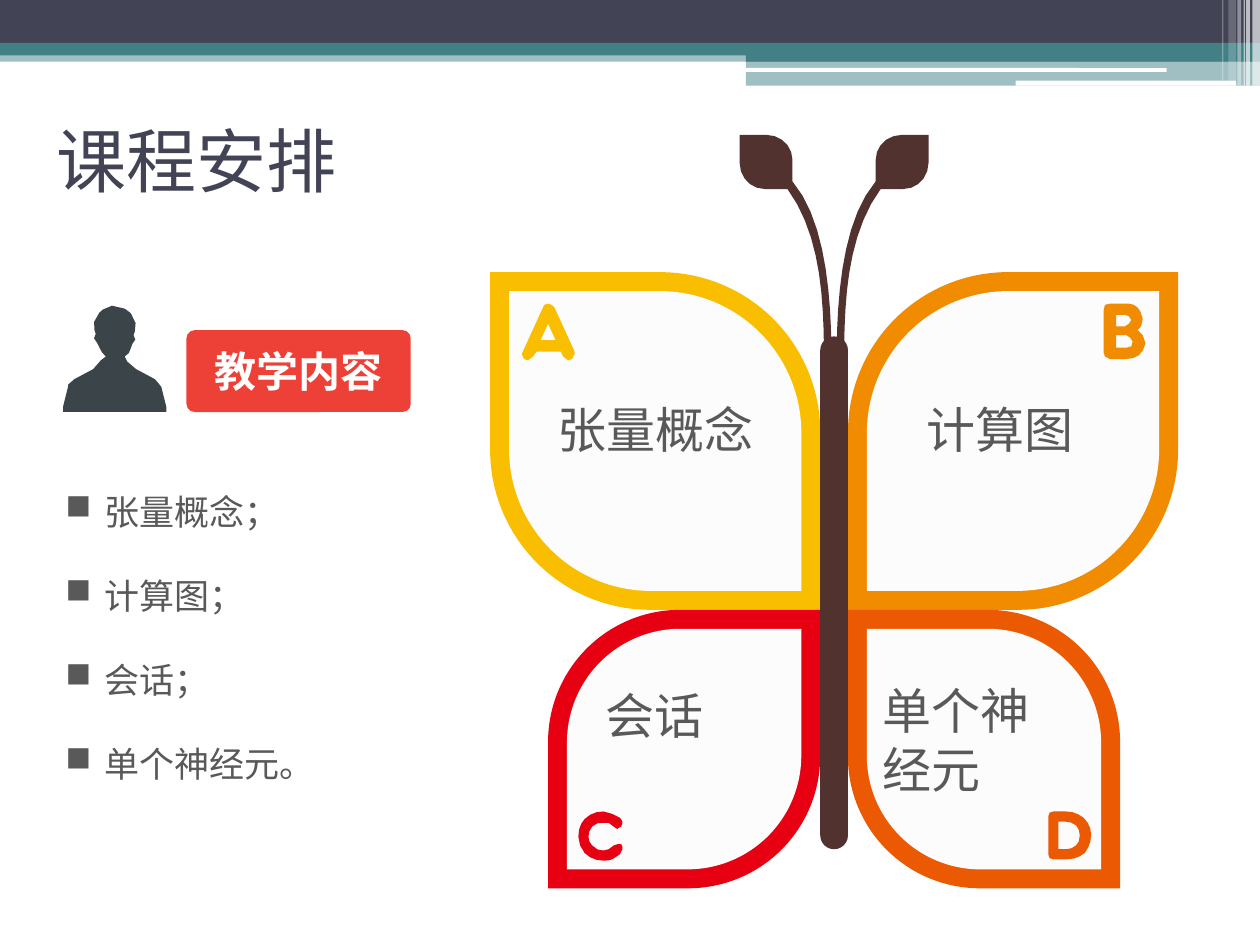
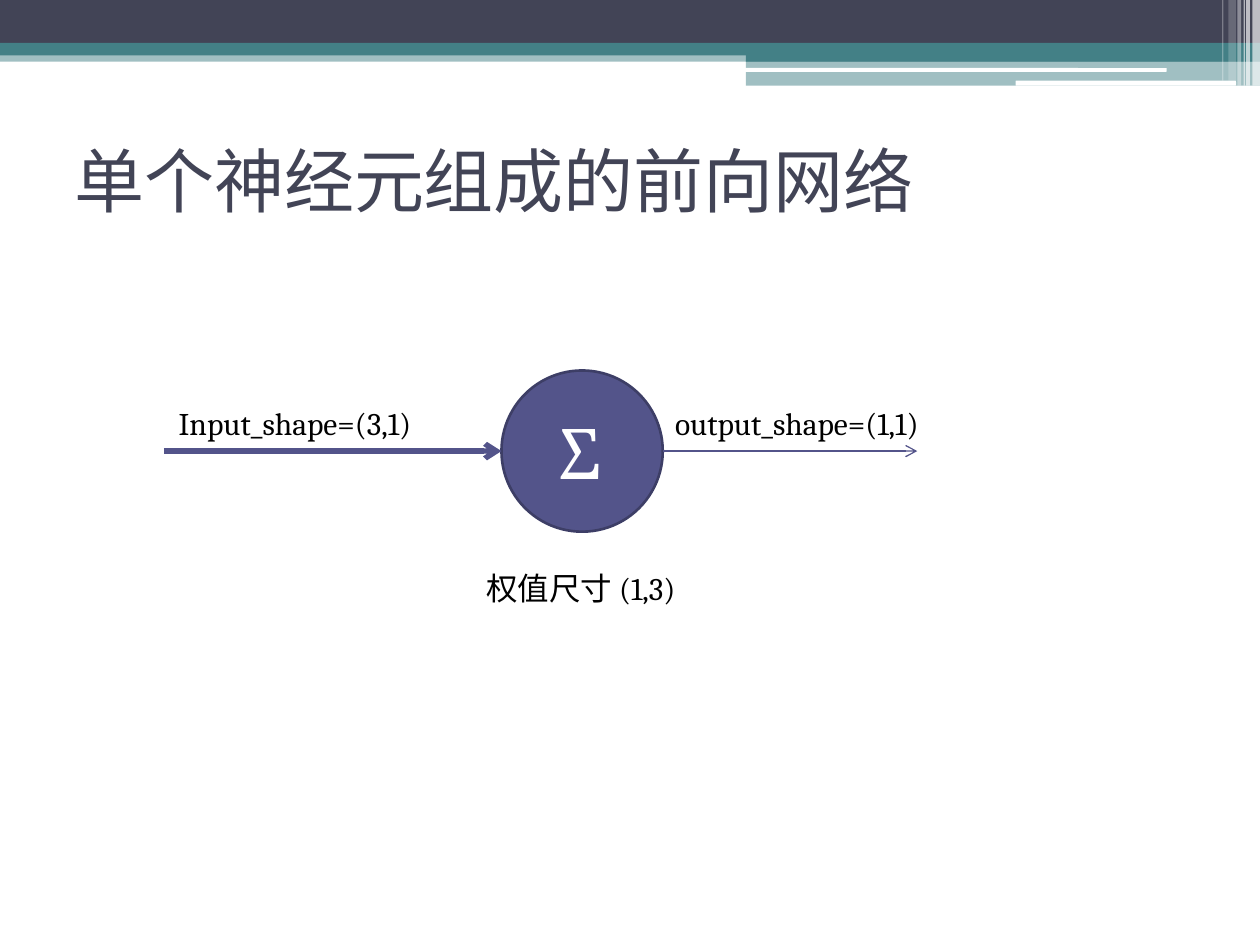
import math
from dataclasses import dataclass

from pptx import Presentation
from pptx.dml.color import RGBColor
from pptx.enum import shapes, text
from pptx.oxml.xmlchemy import OxmlElement
from pptx.util import Pt

SCALE = 9144  # EMU per px, 100 px to the inch
MIRROR = 1324  # twice the x of the butterfly's axis
WING_ROUNDING = 0.485
WING_RIM = 15
CHORD = 7  # px of curve drawn by one straight piece
MAX_PIECES = 10
CJK_FONT = "Noto Sans CJK SC"
COLORS = {
    "navy": "424456", "teal": "438086", "white": "FFFFFF", "black": "000000",
    "slate": "3B4449", "grey": "595959", "badge": "ED4137", "paper": "FCFCFD",
    "brown": "51322F", "yellow": "FABE00", "orange": "F18B00",
    "rust": "EB5902", "red": "E60012", "violet": "53548A", "rim": "3D3E66",
}
RECT = shapes.MSO_SHAPE.RECTANGLE
ROUNDED = shapes.MSO_SHAPE.ROUNDED_RECTANGLE
LEAF = shapes.MSO_SHAPE.ROUND_2_DIAG_RECTANGLE
LEFT, CENTER = text.PP_ALIGN.LEFT, text.PP_ALIGN.CENTER
Frame = tuple[int, int, int, int]
Point = tuple[float, float]


@dataclass(frozen=True)
class Band:
    frame: Frame
    color: str
    opacity: int = 100
    kind: int = RECT


@dataclass(frozen=True)
class Style:
    size: int
    color: str
    font: str = CJK_FONT
    align: int = LEFT
    bold: bool = False


@dataclass(frozen=True)
class Label:
    frame: Frame
    lines: tuple[str, ...]
    style: Style


@dataclass(frozen=True)
class Wing:
    frame: Frame  # as it lies on the right side
    color: str
    mirrored: bool
    letter: str
    label: Label


@dataclass(frozen=True)
class Arrow:
    start: int
    end: int
    y: int
    weight: float


BANDS = (
    Band((0, 40, 1000, 9), "teal", 50),
    Band((0, 0, 1000, 34), "navy"),
    Band((0, 34, 1000, 10), "teal"),
    Band((592, 39, 408, 10), "teal"),
    Band((592, 48, 408, 20), "teal", 50),
    Band((591, 54, 335, 3), "white", kind=ROUNDED),
    Band((806, 64, 175, 4), "white", kind=ROUNDED),
    Band((994, 0, 6, 68), "white", 65),
    Band((989, 0, 3, 68), "white", 65),
    Band((987, 0, 1, 68), "white", 60),
    Band((982, 0, 3, 68), "white", 40),
    Band((975, 0, 6, 64), "white", 20),
    Band((970, 0, 1, 64), "white", 30),
)

# Outlines: M starts a contour, L draws lines, C draws cubic curves
PERSON = """M 128,307 L 123,301 108,293 101,287
C 98,285 96,286 99,283 102,282 103,279 104,276 L 105,273
C 105,273 111,266 106,266 106,266 111,256 104,249 L 103,248
C 101,246 99,245 99,245 88,238 79,248 79,248 71,255 76,265 76,265
71,265 77,272 77,272 L 79,276 C 80,279 82,281 84,283
85,286 81,286 80,286 L 74,293 59,301
C 53,304 54,307 54,307 L 50,323 50,327 132,327 132,323"""
ANTENNA = """M 625,150 L 607,150 C 596,150 587,141 587,129 L 587,107 608,107
C 620,107 629,116 629,127 L 629,144 C 658,178 660,247 660,289
660,293 654,293 654,289 654,244 653,188 625,150"""
LETTER_A = """M 426,279 L 423,283 C 422,285 421,286 419,286
L 416,285 414,281 415,279 431,244 432,242 435,241 438,242 440,244 456,279
456,281 454,285 451,286 C 449,286 448,285 447,283
L 445,279 M 441,270 L 435,257 429,270"""
LETTER_B = """M 909,273 C 908,277 907,279 904,282 901,284 898,285 894,285
L 881,285 877,283 876,280 876,246 877,242 881,241 892,241
C 895,241 898,241 900,242 902,243 904,245 905,247 906,249 907,251 907,253
L 906,258 905,260 903,262 907,266 C 908,267 909,269 909,272
M 899,271 L 897,268 894,266 886,266 886,276 894,276 898,275
M 886,250 L 886,259 893,259 896,257 898,254 896,251 893,250"""
LETTER_C = """M 479,683 C 473,683 468,681 464,677 461,673 459,669 459,664
459,658 461,653 464,650 468,646 473,644 479,644
L 486,646 492,649 494,652 494,653 493,656 491,657 490,658 487,656
483,653 479,653 C 475,653 473,653 470,656 468,658 467,661 467,664
467,667 468,669 470,671 473,674 475,675 479,675
L 483,674 487,671 490,670 493,670 494,672 494,674 492,678 486,682
C 484,683 481,683 479,683"""
LETTER_D = """M 836,682 L 833,681 832,678 832,648 833,645 836,644 846,644
C 852,644 856,646 860,649 864,653 866,657 866,663 866,668 864,673 861,677
857,680 853,682 847,682 M 846,674 C 849,674 852,673 854,671
856,669 857,667 857,663 857,660 856,657 854,655 851,653 849,652 845,652
L 840,652 840,674"""

UPPER, LOWER = (673, 216, 262, 268), (673, 484, 216, 221)
WING_CENTERED = Style(28, "grey", align=CENTER)
WING_LEFT = Style(28, "grey", "Arial")
WINGS = (
    Wing(UPPER, "yellow", True, LETTER_A,
         Label((410, 312, 220, 57), ("张量概念",), WING_CENTERED)),
    Wing(UPPER, "orange", False, LETTER_B,
         Label((684, 312, 219, 57), ("计算图",), WING_CENTERED)),
    Wing(LOWER, "red", True, LETTER_C,
         Label((471, 539, 176, 57), ("会话",), WING_LEFT)),
    Wing(LOWER, "rust", False, LETTER_D,
         Label((691, 535, 176, 104), ("单个神", "经元"), WING_LEFT)),
)
TOPICS = Label((42, 351, 388, 279),
               ("张量概念；", "计算图；", "会话；", "单个神经元。"), Style(20, "grey"))

NOTE = Style(18, "black", "Cambria")
NEURON_LABELS = (
    Label((434, 320, 79, 77), ("Σ",), Style(40, "white", "Cambria")),
    Label((132, 316, 346, 40), ("Input_shape=(3,1)",), NOTE),
    Label((526, 316, 270, 40), ("output_shape=(1,1)",), NOTE),
    Label((288, 447, 346, 40), ("权值尺寸 (1,3)",),
          Style(18, "black", "Cambria", CENTER)),
)
ARROWS = (Arrow(130, 398, 358, 3), Arrow(526, 728, 358, 0.75))


def px(*lengths: float) -> list[int]:
    return [round(length * SCALE) for length in lengths]


def rgb(name: str) -> RGBColor:
    return RGBColor.from_string(COLORS[name])


def add_xml(parent, tag: str, **attributes: str) -> None:
    element = OxmlElement(tag)
    for key, value in attributes.items():
        element.set(key, value)
    parent.append(element)


# Shapes
def paint(shape, color: str, opacity: int = 100):
    shape.shadow.inherit = False
    shape.fill.solid()
    shape.fill.fore_color.rgb = rgb(color)
    shape.line.fill.background()
    if opacity < 100:
        tint = shape._element.spPr.find(".//{*}srgbClr")
        add_xml(tint, "a:alpha", val=str(opacity * 1000))
    return shape


def add_preset(page, kind: int, frame: Frame, color: str,
               rounding: tuple[float, ...] = (), opacity: int = 100):
    shape = page.shapes.add_shape(kind, *px(*frame))
    for index, value in enumerate(rounding):
        shape.adjustments[index] = value
    return paint(shape, color, opacity)


def curve(a: Point, b: Point, c: Point, d: Point) -> list[Point]:
    def at(t: float) -> Point:
        s = 1 - t
        return tuple(s**3 * p + 3 * s * s * t * q + 3 * s * t * t * r + t**3 * e
                     for p, q, r, e in zip(a, b, c, d))
    pieces = min(MAX_PIECES, math.ceil(math.dist(a, d) / CHORD))
    return [at(piece / pieces) for piece in range(1, pieces + 1)]


def contours_of(outline: str) -> list[list[Point]]:
    contours, handles, command = [], [], ""
    for token in outline.split():
        if token in ("M", "L", "C"):
            command = token
            continue
        point = tuple(int(number) for number in token.split(","))
        if command == "M":
            contours.append([point])
        elif command == "L":
            contours[-1].append(point)
        else:
            handles.append(point)
            if len(handles) == 3:
                contours[-1] += curve(contours[-1][-1], *handles)
                handles = []
    return contours


def add_outline(page, outline: str, color: str, mirrored: bool = False) -> None:
    contours = [[px(MIRROR - x if mirrored else x, y) for x, y in contour]
                for contour in contours_of(outline)]
    builder = page.shapes.build_freeform(*contours[0][0])
    for index, (start, *others) in enumerate(contours):
        if index:
            builder.move_to(*start)
        builder.add_line_segments(others, close=True)
    paint(builder.convert_to_shape(), color)


def add_arrow(page, arrow: Arrow) -> None:
    line = page.shapes.add_connector(
        shapes.MSO_CONNECTOR.STRAIGHT,
        *px(arrow.start, arrow.y, arrow.end, arrow.y))
    line.line.color.rgb = rgb("violet")
    line.line.width = Pt(arrow.weight)
    add_xml(line._element.spPr.find("{*}ln"), "a:tailEnd", type="arrow")
    add_xml(line._element.spPr, "a:effectLst")


# Text
def write(box, lines: tuple[str, ...], style: Style) -> None:
    frame = box.text_frame
    frame.word_wrap = True
    frame.text = "\n".join(lines)
    for para in frame.paragraphs:
        para.alignment = style.align
        font = para.font
        font.name, font.size, font.bold = style.font, Pt(style.size), style.bold
        font.color.rgb = rgb(style.color)
        add_xml(para._p.pPr.find("{*}defRPr"), "a:ea", typeface=CJK_FONT)


def add_label(page, label: Label):
    box = page.shapes.add_textbox(*px(*label.frame))
    write(box, label.lines, label.style)
    return box


def add_bullets(page, label: Label) -> None:
    indent = px(31)[0]
    for para in add_label(page, label).text_frame.paragraphs:
        para.line_spacing = 2.0
        properties = para._p.pPr
        properties.set("marL", str(indent))
        properties.set("indent", str(-indent))
        bullet = OxmlElement("a:buChar")
        bullet.set("char", "■")
        properties.find("{*}defRPr").addprevious(bullet)


# Pages
def move_bands_to_layout(page) -> None:
    tree = page.slide_layout.shapes._spTree
    for number, band in enumerate(BANDS, start=100):
        shape = add_preset(page, band.kind, band.frame, band.color,
                           opacity=band.opacity)
        shape._element.nvSpPr.cNvPr.set("id", str(number))
        tree.append(shape._element)


def add_page(deck, title: str, left: int, top: int):
    page = deck.slides.add_slide(deck.slide_layouts[5])
    box = page.shapes.title
    box.left, box.top, box.width, box.height = px(left, top, 900, 117)
    write(box, (title,), Style(40, "navy", "Roboto"))
    box.text_frame.auto_size = text.MSO_AUTO_SIZE.NONE
    box.text_frame.vertical_anchor = text.MSO_ANCHOR.MIDDLE
    return page


def add_wing(page, wing: Wing) -> None:
    left, top, width, height = wing.frame
    if wing.mirrored:
        left = MIRROR - left - width
    # The pointed corners run from the body outwards
    rising = (wing.frame == UPPER) != wing.mirrored
    rounding = (WING_ROUNDING, 0) if rising else (0, WING_ROUNDING)
    for rim, color in ((0, wing.color), (WING_RIM, "paper")):
        frame = (left + rim, top + rim, width - 2 * rim, height - 2 * rim)
        add_preset(page, LEAF, frame, color, rounding)
    add_outline(page, wing.letter, wing.color)
    add_label(page, wing.label)


def build_agenda(deck) -> None:
    page = add_page(deck, "课程安排", 35, 68)
    move_bands_to_layout(page)
    add_outline(page, PERSON, "slate")
    add_bullets(page, TOPICS)
    badge = add_preset(page, ROUNDED, (148, 262, 178, 65), "badge", (0.1,))
    write(badge, ("教学内容",), Style(24, "white", align=CENTER, bold=True))
    for wing in WINGS:
        add_wing(page, wing)
    for mirrored in (False, True):
        add_outline(page, ANTENNA, "brown", mirrored)
    add_preset(page, ROUNDED, (651, 267, 22, 407), "brown", (0.5,))


def build_neuron(deck) -> None:
    page = add_page(deck, "单个神经元组成的前向网络", 49, 84)
    neuron = add_preset(page, shapes.MSO_SHAPE.OVAL, (398, 294, 128, 128), "violet")
    neuron.line.color.rgb = rgb("rim")
    neuron.line.width = Pt(1.5)
    for arrow in ARROWS:
        add_arrow(page, arrow)
    for label in NEURON_LABELS:
        add_label(page, label)


def main() -> None:
    deck = Presentation()
    deck.slide_width, deck.slide_height = px(1000, 750)
    build_agenda(deck)
    build_neuron(deck)
    deck.save("out.pptx")


if __name__ == "__main__":
    main()
